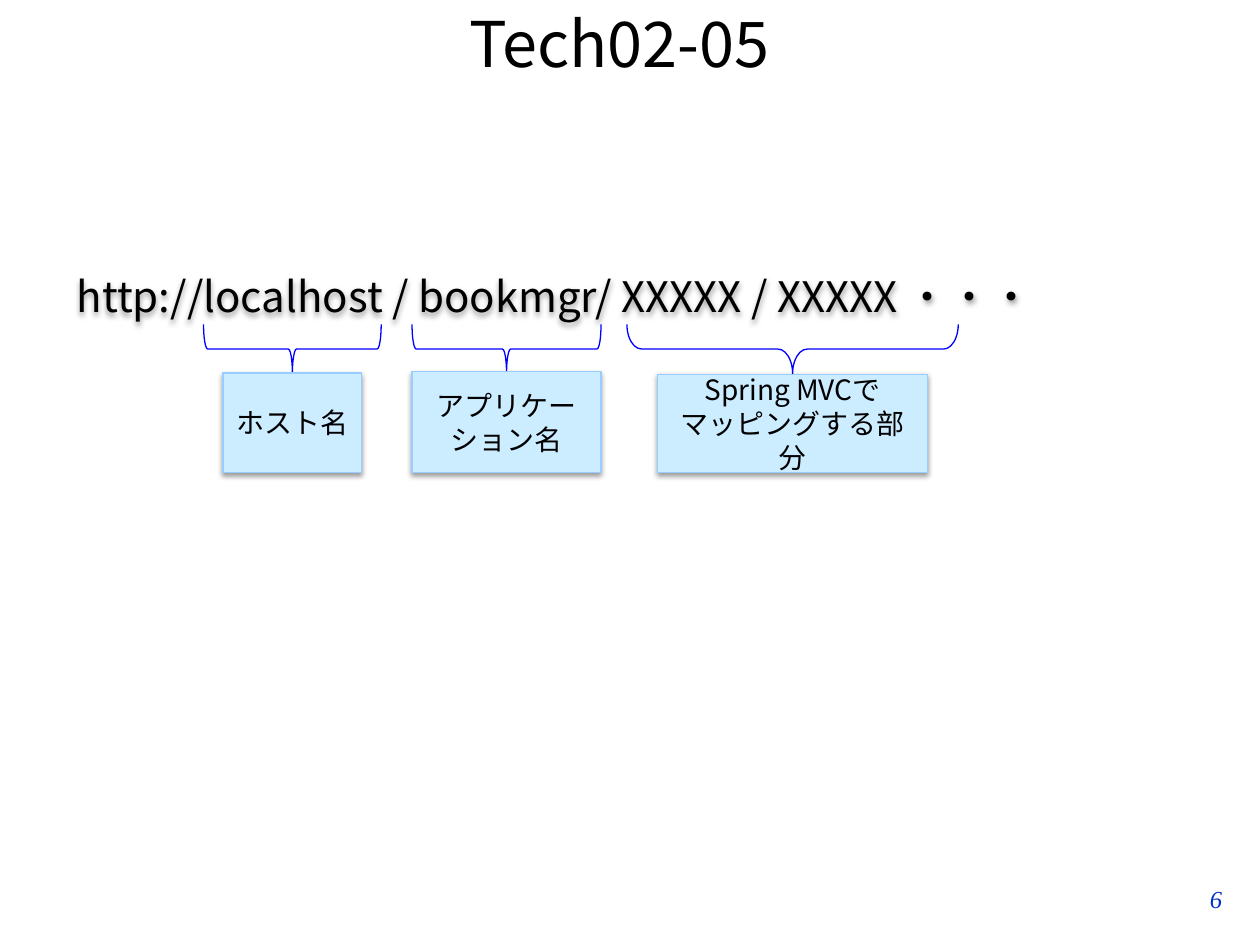
from dataclasses import dataclass

from lxml.etree import SubElement
from pptx import Presentation
from pptx.dml.color import RGBColor
from pptx.enum.shapes import MSO_SHAPE
from pptx.enum.text import MSO_ANCHOR, PP_ALIGN
from pptx.oxml.ns import qn
from pptx.util import Inches, Pt


@dataclass(frozen=True)
class Theme:
    font: str = "Noto Sans CJK JP"
    number_font: str = "Times New Roman"
    ink: str = "000000"
    number: str = "0031CC"
    brace: str = "0000FF"
    box_fill: str = "CCECFF"
    box_line: str = "99CCFF"
    title_size: int = 36
    url_size: int = 24
    label_size: int = 16
    number_size: int = 14
    line_width: float = 0.75


class SlideBuilder:
    def __init__(self, slide, theme):
        self.s = slide
        self.theme = theme

    def add_lines(self, tf, lines, size, align, font=None, color=None, italic=None):
        tf.word_wrap = True
        for i, line in enumerate(lines):
            p = tf.add_paragraph() if i else tf.paragraphs[0]
            p.alignment = align
            r = p.add_run()
            r.text = line
            r.font.name = font or self.theme.font
            r.font.size = Pt(size)
            r.font.italic = italic
            r.font.color.rgb = RGBColor.from_string(color or self.theme.ink)
            ea = SubElement(r.font._element, qn("a:ea"))
            ea.set("typeface", font or self.theme.font)

    def cast_shadow(self, sp):
        sp.shadow.inherit = False
        effects = sp._element.spPr.find(qn("a:effectLst"))
        outer = SubElement(effects, qn("a:outerShdw"), blurRad=str(Pt(3.1)),
                           dist=str(Pt(1.6)), dir="5400000", rotWithShape="0")
        color = SubElement(outer, qn("a:srgbClr"), val="000000")
        SubElement(color, qn("a:alpha"), val="38000")

    def text(self, x, y, w, h, line, size, align=PP_ALIGN.LEFT,
             anchor=MSO_ANCHOR.TOP, **style):
        sp = self.s.shapes.add_textbox(Inches(x), Inches(y), Inches(w), Inches(h))
        sp.text_frame.vertical_anchor = anchor
        self.add_lines(sp.text_frame, [line], size, align, **style)
        return sp

    def shape(self, kind, x, y, w, h, line):
        sp = self.s.shapes.add_shape(kind, Inches(x), Inches(y), Inches(w), Inches(h))
        sp.shadow.inherit = False
        sp.line.color.rgb = RGBColor.from_string(line)
        sp.line.width = Pt(self.theme.line_width)
        return sp

    def brace(self, center_x, center_y, span, depth=0.39, curl=None):
        sp = self.shape(MSO_SHAPE.RIGHT_BRACE, center_x - depth / 2,
                        center_y - span / 2, depth, span, self.theme.brace)
        sp.fill.background()
        sp.rotation = 90
        if curl:
            sp.adjustments[0] = curl

    def box(self, center_x, y, w, h, lines):
        sp = self.shape(MSO_SHAPE.RECTANGLE, center_x - w / 2, y, w, h,
                        self.theme.box_line)
        sp.fill.solid()
        sp.fill.fore_color.rgb = RGBColor.from_string(self.theme.box_fill)
        self.cast_shadow(sp)
        sp.text_frame.vertical_anchor = MSO_ANCHOR.MIDDLE
        self.add_lines(sp.text_frame, lines, self.theme.label_size, PP_ALIGN.CENTER)


def main():
    prs = Presentation()
    prs.slide_width, prs.slide_height = Inches(10), Inches(7.5)
    theme = Theme()
    b = SlideBuilder(prs.slides.add_slide(prs.slide_layouts[6]), theme)

    number = b.text(9.28, 7.05, 0.42, 0.17, "6", theme.number_size,
                    PP_ALIGN.RIGHT, MSO_ANCHOR.MIDDLE, font=theme.number_font,
                    color=theme.number, italic=True)
    tf = number.text_frame
    tf.margin_left = tf.margin_right = tf.margin_top = tf.margin_bottom = 0

    b.text(0.75, 0, 8.33, 0.67, "Tech02-05", theme.title_size,
           PP_ALIGN.CENTER, MSO_ANCHOR.MIDDLE)
    url = b.text(0.51, 2.1, 9, 0.55, "http://localhost / bookmgr/ XXXXX / XXXXX ・・・",
                 theme.url_size)
    b.cast_shadow(url)

    brace_y, box_bottom = 2.77, 3.75
    url_parts = [
        (2.32, 1.41, None, 1.1, 0.79, ["ホスト名"]),
        (4.02, 1.5, None, 1.5, 0.8, ["アプリケーション名"]),
        (6.29, 2.63, 0.3, 2.14, 0.78, ["Spring MVCで", "マッピングする部分"]),
    ]
    for center_x, span, curl, w, h, lines in url_parts:
        b.brace(center_x, brace_y, span, curl=curl)
        b.box(center_x, box_bottom - h, w, h, lines)

    prs.save("out.pptx")


if __name__ == "__main__":
    main()
